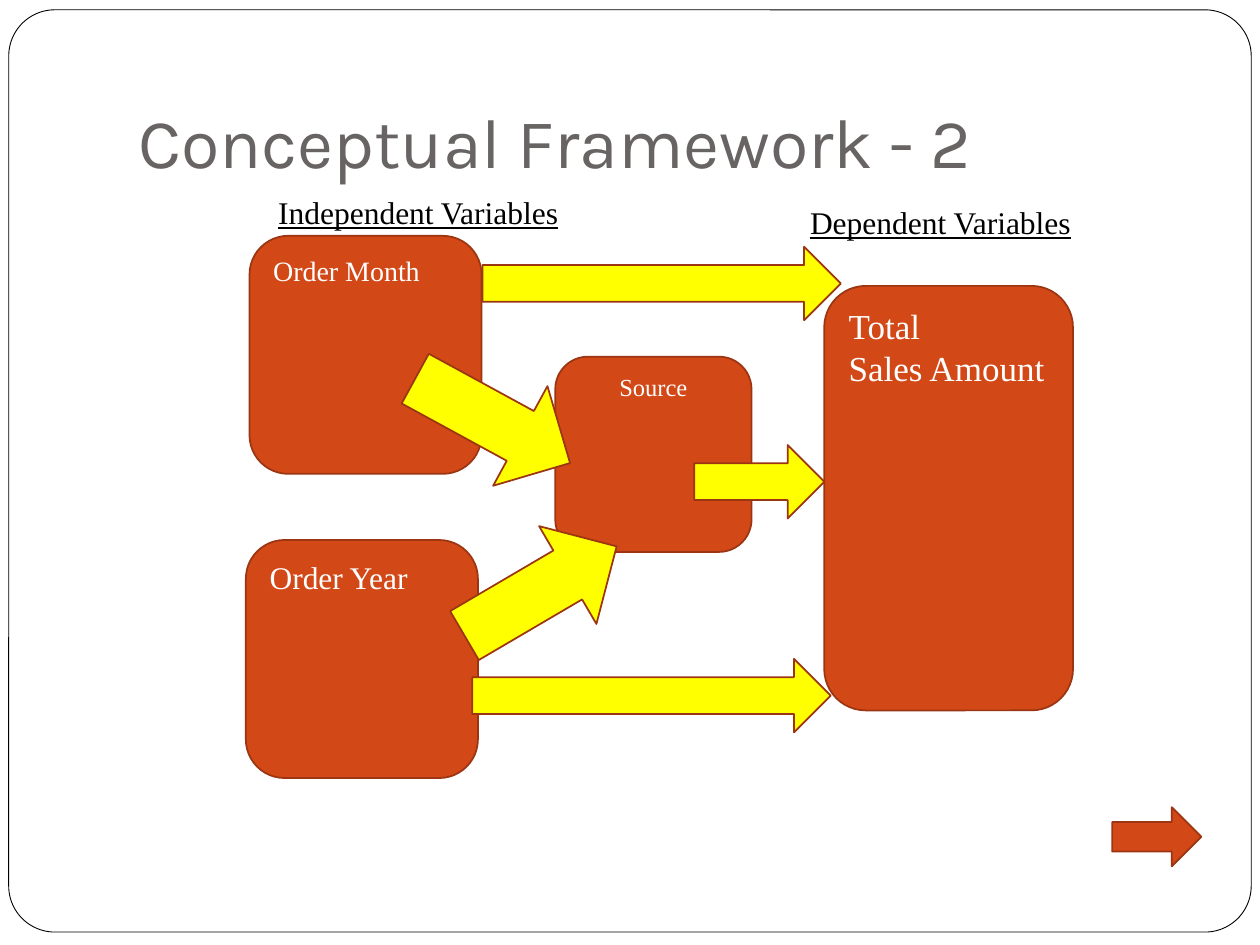
from dataclasses import dataclass

import pptx
import pptx.dml.color
import pptx.enum.shapes
import pptx.enum.text
import pptx.util

Pt = pptx.util.Pt
RGB = pptx.dml.color.RGBColor
Kind = pptx.enum.shapes.MSO_SHAPE
Anchor = pptx.enum.text.MSO_ANCHOR
Align = pptx.enum.text.PP_ALIGN

WHITE = RGB(0xFF, 0xFF, 0xFF)
BLACK = RGB(0, 0, 0)
GREY = RGB(0x69, 0x64, 0x64)
RUST = RGB(0xD3, 0x48, 0x17)
BROWN = RGB(0x9C, 0x35, 0x11)
YELLOW = RGB(0xFF, 0xFF, 0)
SERIF = "Times New Roman"


@dataclass
class Area:
    left: float
    top: float
    width: float
    height: float

    def points(self) -> list:
        return [Pt(v) for v in (self.left, self.top, self.width, self.height)]


@dataclass
class Box:
    area: Area
    text: str
    size: float
    align: Align = Align.LEFT


@dataclass
class Arrow:
    area: Area
    angle: float = 90


@dataclass
class Label:
    area: Area
    text: str


BOXES = [
    Box(Area(142.6, 134.8, 132.6, 136), "Order Month", 16),
    Box(Area(140.5, 308.6, 132.6, 136), "Order Year", 18),
    Box(Area(317.3, 203.8, 112.2, 111.6), "Source", 14, Align.CENTER),
    Box(Area(471, 163.4, 142.2, 242.6), "Total\nSales Amount", 20),
]
ARROWS = [
    Arrow(Area(276.5, 287.3, 64.8, 100.8), 59.6),
    Arrow(Area(357.1, 59.6, 42, 204.8)),
    Arrow(Area(249.1, 190.1, 64.8, 100.8), 118.6),
    Arrow(Area(351.3, 295.1, 42, 204.8)),
    Arrow(Area(412.9, 238.1, 42, 74.4)),
]
LABELS = [
    Label(Area(455.8, 112.3, 191.5, 29), "Dependent Variables"),
    Label(Area(151.9, 106.6, 195.1, 29), "Independent Variables"),
]


def write(shape, text: str, *, size: float, color: RGB, font: str = SERIF,
          align: Align = Align.LEFT, anchor: Anchor = Anchor.TOP,
          underline: bool = False) -> None:
    """Fill a shape with text, one paragraph for each line."""
    frame = shape.text_frame
    frame.word_wrap = True
    frame.vertical_anchor = anchor
    frame.text = text
    for para in frame.paragraphs:
        para.alignment = align
        for run in para.runs:
            run.font.name = font
            run.font.size = Pt(size)
            run.font.color.rgb = color
            run.font.underline = underline


def draw(slide, kind: Kind, area: Area, fill: RGB, line: RGB = BROWN,
         weight: float = 1):
    shape = slide.shapes.add_shape(kind, *area.points())
    shape.shadow.inherit = False
    shape.fill.solid()
    shape.fill.fore_color.rgb = fill
    shape.line.color.rgb = line
    shape.line.width = Pt(weight)
    return shape


def main() -> None:
    deck = pptx.Presentation()
    deck.slide_width, deck.slide_height = Pt(720), Pt(540)
    slide = deck.slides.add_slide(deck.slide_layouts[6])

    frame = draw(slide, Kind.ROUNDED_RECTANGLE, Area(5, 5.6, 710, 527),
                 WHITE, BLACK, 0.5)
    frame.adjustments[0] = 0.05

    title = slide.shapes.add_textbox(*Area(72, 21.6, 612, 90).points())
    title.text_frame.margin_bottom = Pt(7.2)
    write(title, "Conceptual Framework - 2", size=40, color=GREY,
          font="Karla", anchor=Anchor.BOTTOM)

    for box in BOXES:
        shape = draw(slide, Kind.ROUNDED_RECTANGLE, box.area, RUST)
        write(shape, box.text, size=box.size, color=WHITE, align=box.align)

    for arrow in ARROWS:
        shape = draw(slide, Kind.UP_ARROW, arrow.area, YELLOW)
        shape.rotation = arrow.angle

    for label in LABELS:
        shape = slide.shapes.add_textbox(*label.area.points())
        write(shape, label.text, size=18, color=BLACK, underline=True)

    draw(slide, Kind.RIGHT_ARROW, Area(635.5, 461.3, 51, 33.8), RUST)
    deck.save("out.pptx")


if __name__ == "__main__":
    main()
